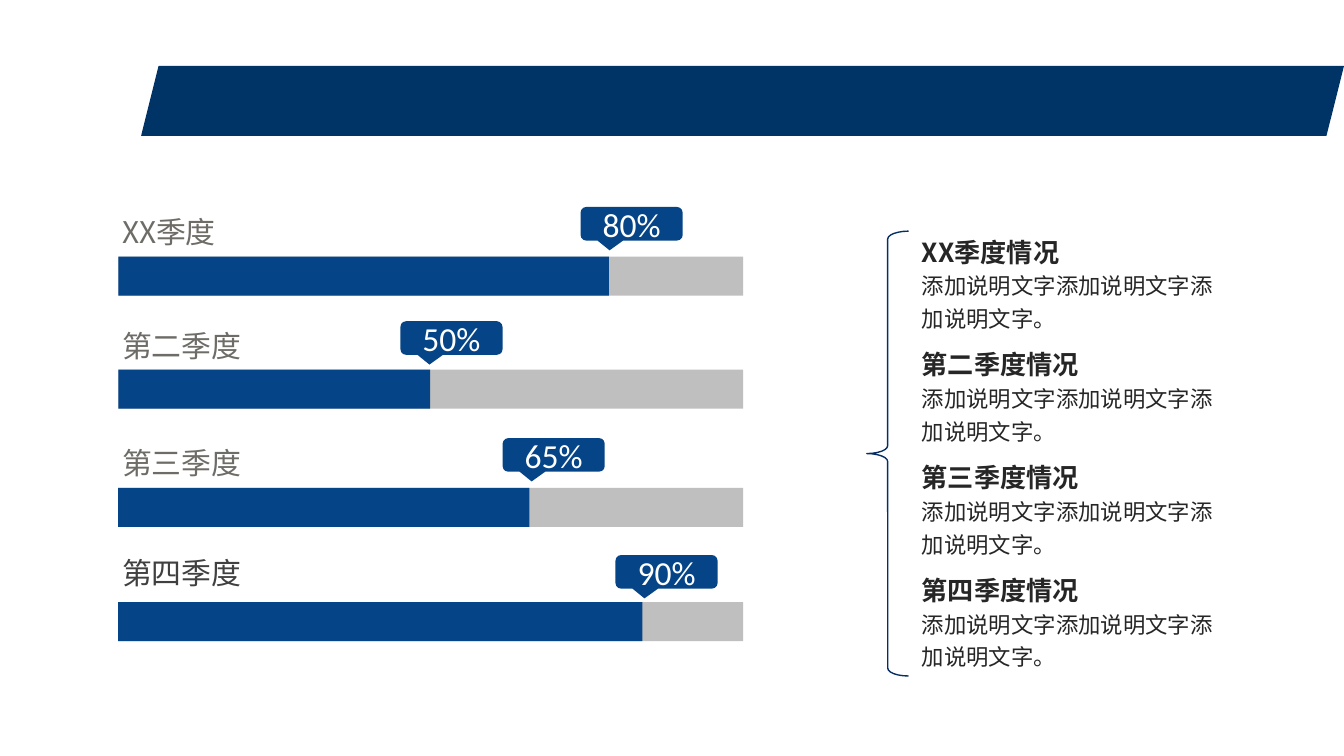
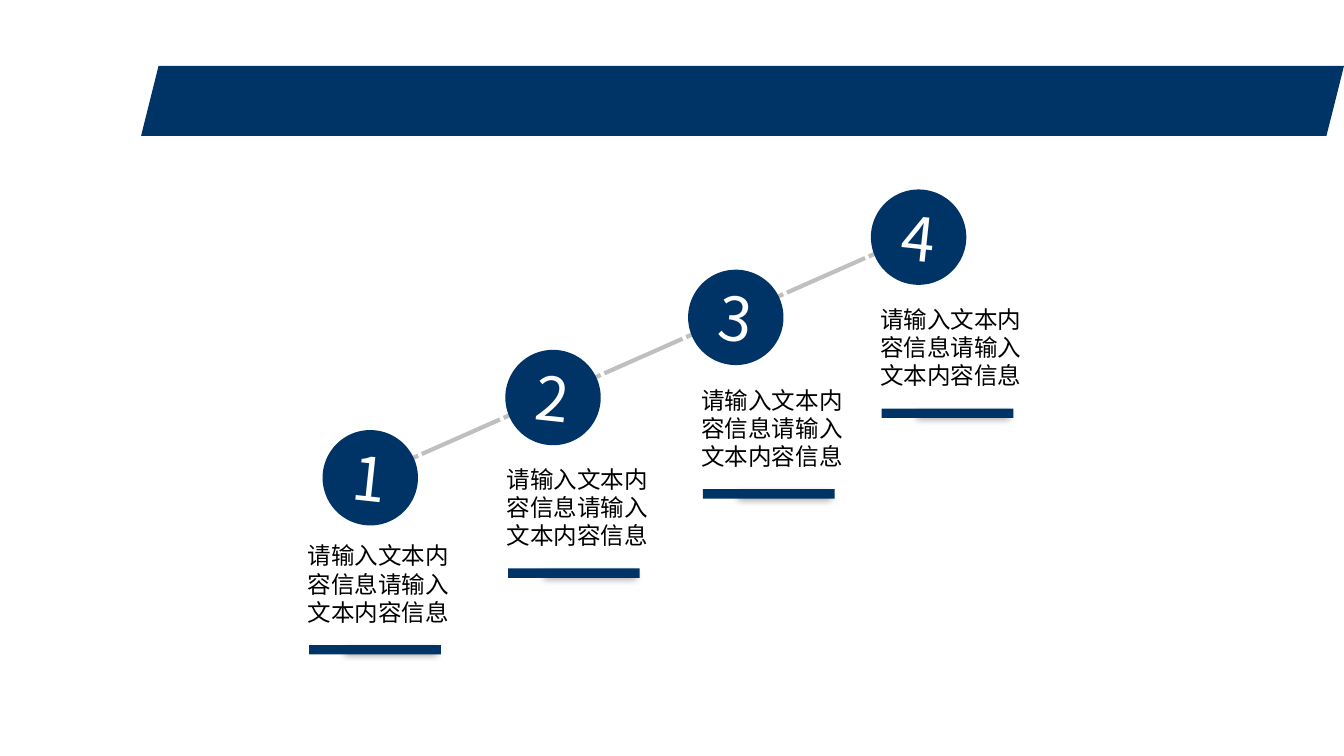
from lxml import etree
from pptx import Presentation
from pptx.dml.color import RGBColor
from pptx.enum.shapes import MSO_CONNECTOR as Connector, MSO_SHAPE as Shape
from pptx.enum.text import MSO_ANCHOR as Anchor, MSO_AUTO_SIZE as AutoSize, PP_ALIGN as Align
from pptx.oxml.ns import qn
from pptx.util import Inches, Pt

NAVY, BLUE, GREY, WHITE = "003466", "054487", "BFBFBF", "FFFFFF"
CJK, LATIN = "Noto Sans CJK SC", "Calibri"


def color(value):
    return RGBColor.from_string(value)


# Shared building blocks
def add_shape(page, kind, box, fill=None, line=None, width=1):
    shape = page.shapes.add_shape(kind, *map(Inches, box))
    shape.shadow.inherit = False
    if fill:
        shape.fill.solid()
        shape.fill.fore_color.rgb = color(fill)
    else:
        shape.fill.background()
    if line:
        shape.line.color.rgb = color(line)
        shape.line.width = Pt(width)
    else:
        shape.line.fill.background()
    return shape


def style(para, size, ink, font=CJK, bold=False):
    for span in para.runs:
        span.font.size = Pt(size)
        span.font.bold = bold
        span.font.color.rgb = color(ink)
        span.font.name = font
        etree.SubElement(span.font._element, qn("a:ea")).set("typeface", font)


def center_text(shape, text, size, font):
    frame = shape.text_frame
    frame.text = text
    frame.vertical_anchor = Anchor.MIDDLE
    frame.margin_left = frame.margin_right = 0
    frame.margin_top = frame.margin_bottom = 0
    frame.paragraphs[0].alignment = Align.CENTER
    style(frame.paragraphs[0], size, WHITE, font)


def add_text(page, box, text):
    frame = page.shapes.add_textbox(*map(Inches, box)).text_frame
    frame.word_wrap = True
    frame.text = text
    return frame


def add_label(page, box, text, size, ink):
    frame = add_text(page, box, text)
    frame.auto_size = AutoSize.SHAPE_TO_FIT_TEXT
    style(frame.paragraphs[0], size, ink)


def add_page(deck):
    page = deck.slides.add_slide(deck.slide_layouts[6])
    page.background.fill.solid()
    page.background.fill.fore_color.rgb = color(WHITE)
    add_shape(page, Shape.PARALLELOGRAM, (1.05, 0.49, 8.95, 0.52), NAVY)
    return page


# Quarterly progress slide
def progress_row(page, left, top, label, percent, filled, label_box, ink, callout_at):
    rise, width = label_box
    add_shape(page, Shape.RECTANGLE, (left, top, 4.65, 0.29), GREY)
    add_shape(page, Shape.RECTANGLE, (left, top, filled, 0.29), BLUE)
    add_label(page, (left - 0.07, top - rise, width, 0.37), label, 16, ink)
    across, up = callout_at
    callout = add_shape(page, Shape.ROUNDED_RECTANGULAR_CALLOUT,
                        (left + across, top - up, 0.76, 0.25), BLUE)
    for index, value in enumerate((-0.216, 0.79, 0.167)):
        callout.adjustments[index] = value
    center_text(callout, percent, 18, LATIN)


def quarter_notes(page, left, top, quarters):
    brace = add_shape(page, Shape.LEFT_BRACE, (left, top, 0.31, 3.31), line="052E65", width=0.75)
    brace.adjustments[0] = 0.19
    for index, quarter in enumerate(quarters):
        box = (left + 0.31, top - 0.06 + 0.84 * index, 2.52, 0.9)
        frame = add_text(page, box, f"{quarter}情况\n添加说明文字添加说明文字添加说明文字。")
        heading, note = frame.paragraphs
        heading.line_spacing = note.line_spacing = 1.2
        style(heading, 14, "262626", bold=True)
        style(note, 12, "262626")


def progress_page(deck):
    page = add_page(deck)
    rows = [
        (1.91, "XX季度", "80%", 3.65, (0.37, 1.27), "6E6C67", (3.44, 0.37)),
        (2.75, "第二季度", "50%", 2.32, (0.36, 1.27), "6E6C67", (2.1, 0.36)),
        (3.63, "第三季度", "65%", 3.06, (0.37, 1.27), "6E6C67", (2.86, 0.37)),
        (4.48, "第四季度", "90%", 3.9, (0.4, 1.59), "404040", (3.7, 0.35)),
    ]
    for row in rows:
        progress_row(page, 0.88, *row)
    quarter_notes(page, 6.45, 1.72, [row[1] for row in rows])


# Four rising steps slide
def add_shadow(shape):
    effects = shape._element.spPr.find(qn("a:effectLst"))
    shadow = etree.SubElement(effects, qn("a:outerShdw"), blurRad=str(Pt(4)), dist=str(Pt(3)),
                              dir=str(135 * 60000), sx="70000", sy="70000",
                              algn="tr", rotWithShape="0")
    tint = etree.SubElement(shadow, qn("a:srgbClr"), val="000000")
    etree.SubElement(tint, qn("a:alpha"), val="40000")


def step_circle(page, left, top, number):
    ring = add_shape(page, Shape.OVAL, (left, top, 0.82, 0.82), line=WHITE, width=2)
    disc = add_shape(page, Shape.OVAL, (left + 0.06, top + 0.06, 0.71, 0.71), NAVY)
    ring.rotation = disc.rotation = 6.2
    center_text(disc, str(number), 32.4, CJK)


def step_note(page, left, top):
    add_label(page, (left, top, 1.35, 0.74), "请输入文本内容信息请输入文本内容信息", 12.6, "000000")
    add_shadow(add_shape(page, Shape.RECTANGLE, (left + 0.11, top + 0.82, 0.98, 0.07), NAVY))


def steps_page(deck):
    page = add_page(deck)
    track = page.shapes.add_connector(Connector.STRAIGHT, *map(Inches, (2.75, 3.55, 6.98, 1.68)))
    track.line.color.rgb = color(GREY)
    track.line.width = Pt(2.25)
    etree.SubElement(track._element.spPr, qn("a:effectLst"))
    notes = [(2.19, 3.98), (3.67, 3.41), (5.12, 2.82), (6.45, 2.22)]
    rise = (3.14 - 1.35) / 3
    for index, (left, top) in enumerate(notes):
        step_circle(page, 2.34 + 1.36 * index, 3.14 - rise * index, index + 1)
        step_note(page, left, top)


def main():
    deck = Presentation()
    deck.slide_width = Inches(10)
    deck.slide_height = deck.slide_width * 9 // 16
    progress_page(deck)
    steps_page(deck)
    deck.save("out.pptx")


if __name__ == "__main__":
    main()
